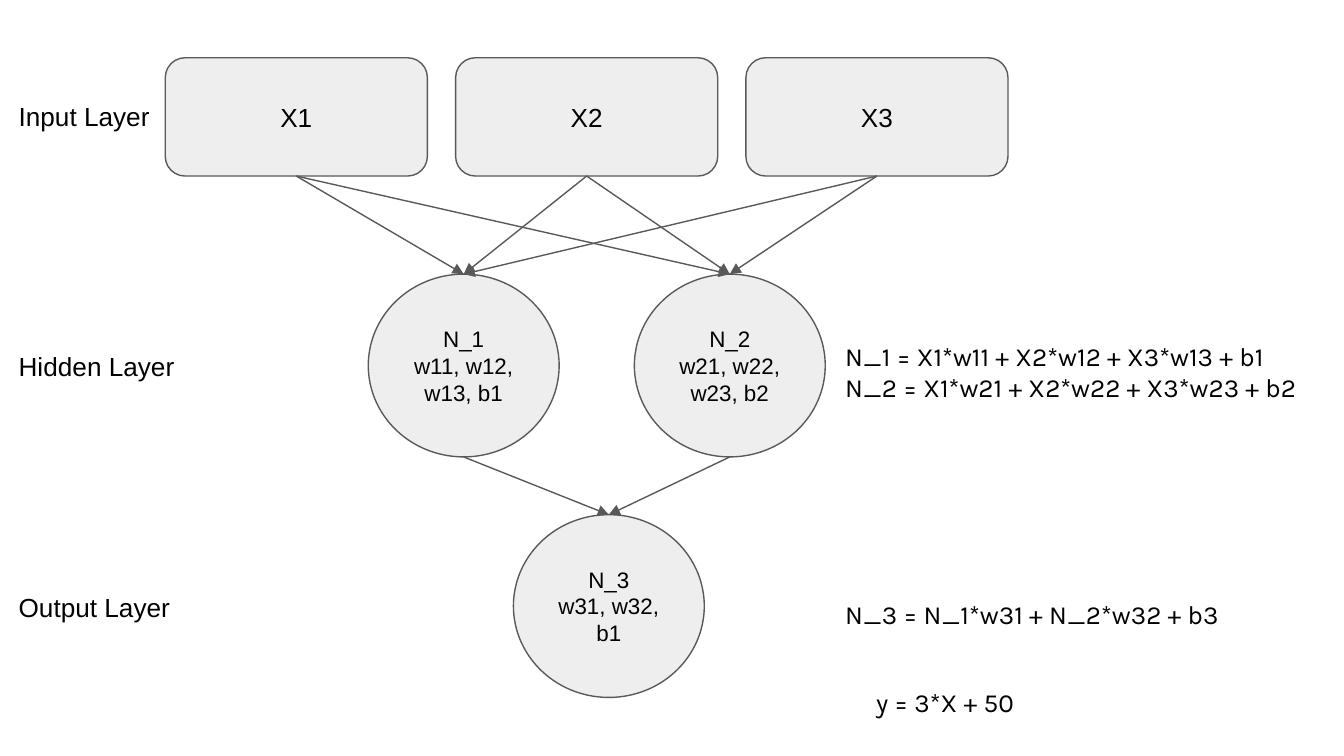
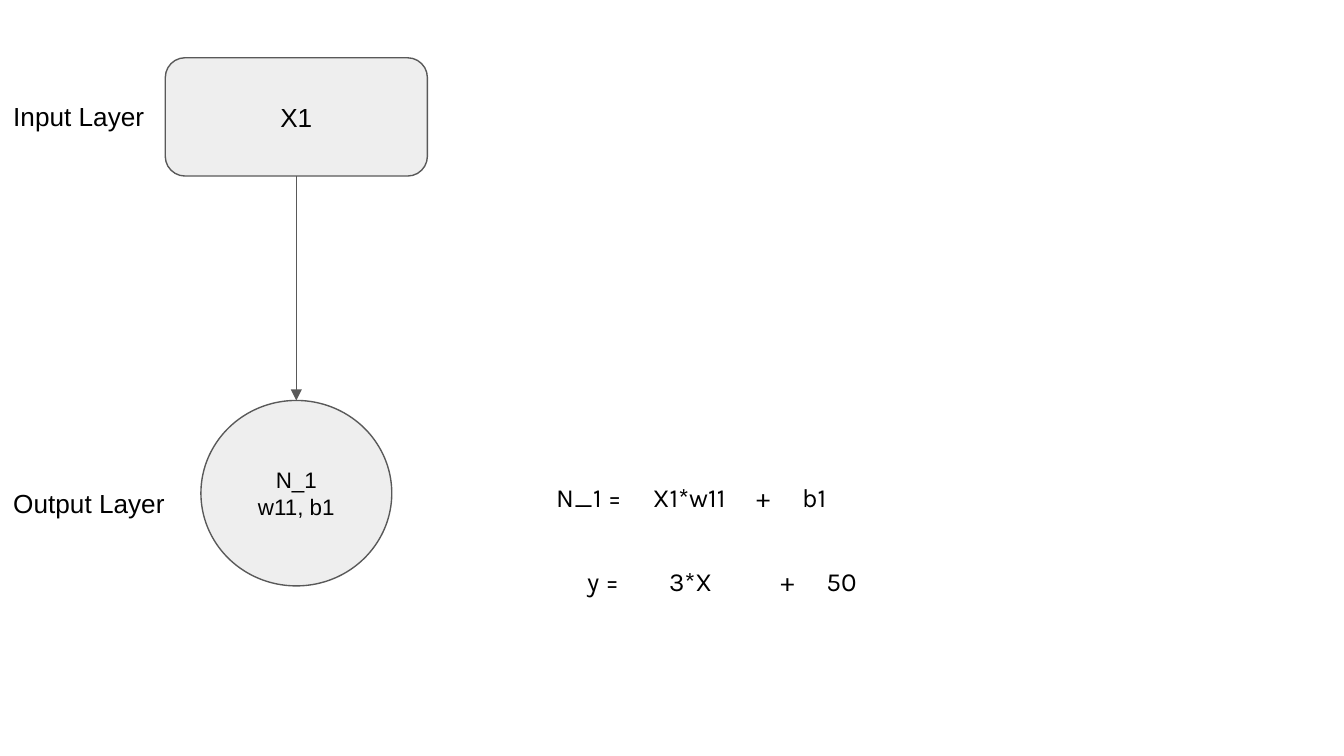
from lxml import etree
from pptx import Presentation
from pptx.dml.color import RGBColor
from pptx.enum.shapes import MSO_CONNECTOR, MSO_SHAPE
from pptx.enum.text import MSO_ANCHOR, PP_ALIGN
from pptx.oxml.ns import qn
from pptx.util import Inches, Pt

BOX, CIRCLE = MSO_SHAPE.ROUNDED_RECTANGLE, MSO_SHAPE.OVAL
STRAIGHT = MSO_CONNECTOR.STRAIGHT
MIDDLE, TOP = MSO_ANCHOR.MIDDLE, MSO_ANCHOR.TOP
CENTER, LEFT = PP_ALIGN.CENTER, PP_ALIGN.LEFT

COLORS = {"fill": "EEEEEE", "line": "595959", "text": "000000"}
LABEL_FONT, FORMULA_FONT = "Arial", "Karla"
SLIDE_W = 10
SLIDE_H = SLIDE_W * 9 / 16
INSET = 0.1
INPUT_LEFT, INPUT_TOP, INPUT_W, INPUT_H = 1.23, 0.43, 1.95, 0.88
INPUT_STEP = 2.16
NEURON_W, NEURON_H = 1.42, 1.36
FORMULA_W = 3.77


def rgb(name):
    return RGBColor.from_string(COLORS[name])


def write(shape, lines, size, font, align, anchor):
    tf = shape.text_frame
    tf.word_wrap = True
    tf.vertical_anchor = anchor
    tf.margin_left = tf.margin_right = Inches(INSET)
    tf.margin_top = tf.margin_bottom = Inches(INSET)
    for i, line in enumerate(lines):
        p = tf.paragraphs[0] if i == 0 else tf.add_paragraph()
        p.alignment = align
        r = p.add_run()
        r.text = line
        r.font.size = Pt(size)
        r.font.name = font
        r.font.color.rgb = rgb("text")


def add_node(slide, kind, left, top, width, height, lines, size):
    sp = slide.shapes.add_shape(kind, Inches(left), Inches(top),
                                Inches(width), Inches(height))
    sp.shadow.inherit = False
    sp.fill.solid()
    sp.fill.fore_color.rgb = rgb("fill")
    sp.line.color.rgb = rgb("line")
    sp.line.width = Pt(0.75)
    write(sp, lines, size, LABEL_FONT, CENTER, MIDDLE)
    return sp


def add_input(slide, number):
    left = INPUT_LEFT + (number - 1) * INPUT_STEP
    return add_node(slide, BOX, left, INPUT_TOP, INPUT_W, INPUT_H,
                    [f"X{number}"], 14)


def add_neuron(slide, left, top, name, weights, height=NEURON_H):
    return add_node(slide, CIRCLE, left, top, NEURON_W, height,
                    [name, weights], 12)


def add_arrow(slide, source, target):
    """Draw an arrow from the bottom of source to the top of target."""
    line = slide.shapes.add_connector(
        STRAIGHT,
        source.left + source.width // 2, source.top + source.height,
        target.left + target.width // 2, target.top)
    line.line.color.rgb = rgb("line")
    line.line.width = Pt(0.75)
    sp_pr = line._element.spPr
    etree.SubElement(sp_pr.find(qn("a:ln")), qn("a:tailEnd"), type="triangle")
    etree.SubElement(sp_pr, qn("a:effectLst"))


def add_text(slide, left, top, width, height, lines, font):
    box = slide.shapes.add_textbox(Inches(left), Inches(top),
                                   Inches(width), Inches(height))
    write(box, lines, 14, font, LEFT, TOP)
    return box


def add_label(slide, left, top, text, width=1.59, height=0.43):
    add_text(slide, left, top, width, height, [text], LABEL_FONT)


def add_formula(slide, left, top, lines, height=0.39, tabs=()):
    """Write formulas; tabs are the stops, in inches, for tab characters."""
    box = add_text(slide, left, top, FORMULA_W, height, lines, FORMULA_FONT)
    if tabs:
        for p in box.text_frame.paragraphs:
            stops = etree.SubElement(p._p.get_or_add_pPr(), qn("a:tabLst"))
            for stop in tabs:
                etree.SubElement(stops, qn("a:tab"), pos=str(Inches(stop)), algn="l")


def build_three_inputs(slide):
    inputs = [add_input(slide, n) for n in (1, 2, 3)]
    hidden = [add_neuron(slide, 2.74, 2.04, "N_1", "w11, w12, w13, b1"),
              add_neuron(slide, 4.72, 2.04, "N_2", "w21, w22, w23, b2")]
    output = add_neuron(slide, 3.82, 3.83, "N_3", "w31, w32, b1")
    for source in inputs:
        for target in hidden:
            add_arrow(slide, source, target)
    for source in hidden:
        add_arrow(slide, source, output)

    add_label(slide, 0.04, 0.65, "Input Layer", width=1.18)
    add_label(slide, 0.04, 2.51, "Hidden Layer")
    add_label(slide, 0.04, 4.3, "Output Layer")

    add_formula(slide, 6.19, 2.43, ["N_1 = X1*w11 + X2*w12 + X3*w13 + b1",
                                    "N_2 = X1*w21 + X2*w22 + X3*w23 + b2"], 0.59)
    add_formula(slide, 6.19, 4.35, ["N_3 = N_1*w31 + N_2*w32 + b3"], 0.59)
    add_formula(slide, 6.19, 5.01, ["\ty = 3*X + 50"], tabs=[0.23])


def build_one_input(slide):
    source = add_input(slide, 1)
    centered_left = INPUT_LEFT + (INPUT_W - NEURON_W) / 2
    output = add_neuron(slide, centered_left, 2.98, "N_1", "w11, b1", height=1.38)
    add_arrow(slide, source, output)

    add_label(slide, 0, 0.65, "Input Layer", width=1.18)
    add_label(slide, 0, 3.53, "Output Layer", height=0.29)

    add_formula(slide, 4.04, 3.48, ["N_1 =\tX1*w11\t+\tb1"],
                tabs=[0.72, 1.49, 1.83])
    add_formula(slide, 4.04, 4.11, ["\ty =\t3*X\t+\t50"],
                tabs=[0.23, 0.84, 1.67, 2.01])


def main():
    prs = Presentation()
    prs.slide_width, prs.slide_height = Inches(SLIDE_W), Inches(SLIDE_H)
    blank = prs.slide_layouts[6]
    for build in (build_three_inputs, build_one_input):
        build(prs.slides.add_slide(blank))
    prs.save("out.pptx")


if __name__ == "__main__":
    main()
